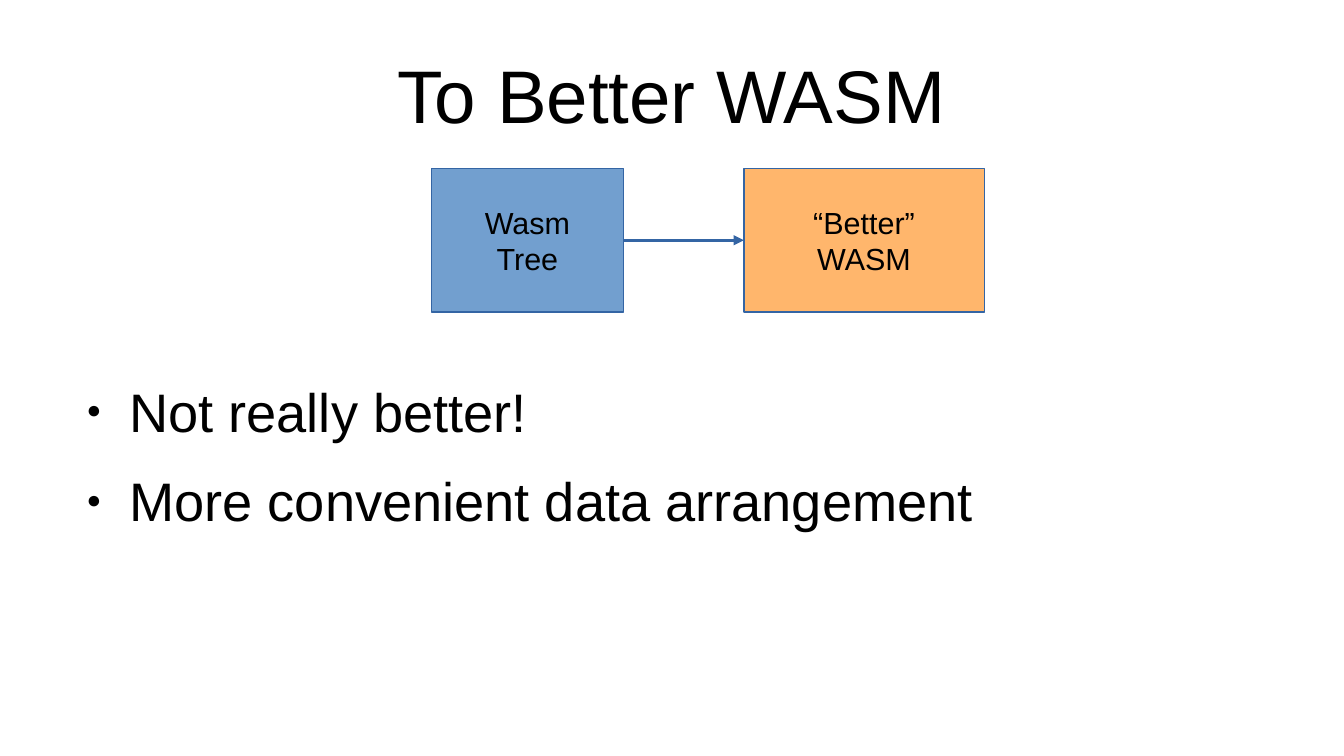
import pptx
import pptx.util
import pptx.dml.color
import pptx.enum.dml
import pptx.enum.shapes
import pptx.enum.text
import pptx.oxml.ns
from lxml import etree

PX = 9144
FONT = "Arial"
BLACK = pptx.dml.color.RGBColor(0x00, 0x00, 0x00)
BLUE = pptx.dml.color.RGBColor(0x72, 0x9F, 0xCF)
ORANGE = pptx.dml.color.RGBColor(0xFF, 0xB6, 0x6C)
OUTLINE = pptx.dml.color.RGBColor(0x34, 0x65, 0xA4)
CENTER = pptx.enum.text.PP_ALIGN.CENTER
MIDDLE = pptx.enum.text.MSO_ANCHOR.MIDDLE


def emu(box):
    return [length * PX for length in box]


def add_xml(parent, tag, **attributes):
    return etree.SubElement(parent, pptx.oxml.ns.qn(tag), attributes)


def add_run(paragraph, text, size):
    run = paragraph.add_run()
    run.text = text
    run.font.size = pptx.util.Pt(size)
    run.font.name = FONT
    run.font.color.rgb = BLACK


def add_text_frame(slide, box):
    frame = slide.shapes.add_textbox(*emu(box)).text_frame
    frame.word_wrap = True
    frame.margin_left = frame.margin_top = 0
    frame.margin_right = frame.margin_bottom = 0
    return frame


def add_title(slide, box, text):
    frame = add_text_frame(slide, box)
    frame.vertical_anchor = MIDDLE
    paragraph = frame.paragraphs[0]
    paragraph.alignment = CENTER
    add_run(paragraph, text, 44)


def add_bullets(slide, box, items):
    frame = add_text_frame(slide, box)
    for index, item in enumerate(items):
        paragraph = frame.add_paragraph() if index else frame.paragraphs[0]
        paragraph.space_before = pptx.util.Pt(14.2)
        properties = paragraph._p.get_or_add_pPr()
        properties.set("marL", str(47 * PX))
        properties.set("indent", str(-35 * PX))
        color = add_xml(properties, "a:buClr")
        add_xml(color, "a:srgbClr", val=str(BLACK))
        add_xml(properties, "a:buSzPct", val="45000")
        add_xml(properties, "a:buFont", typeface=FONT)
        add_xml(properties, "a:buChar", char="●")
        add_run(paragraph, item, 32)


def add_stage(slide, box, fill, lines):
    shape = slide.shapes.add_shape(
        pptx.enum.shapes.MSO_SHAPE.RECTANGLE, *emu(box))
    shape.shadow.inherit = False
    shape.fill.solid()
    shape.fill.fore_color.rgb = fill
    shape.line.color.rgb = OUTLINE
    shape.line.width = 0
    frame = shape.text_frame
    frame.word_wrap = False
    frame.vertical_anchor = MIDDLE
    paragraph = frame.paragraphs[0]
    paragraph.alignment = CENTER
    for index, line in enumerate(lines):
        if index:
            paragraph.add_line_break()
        add_run(paragraph, line, 18)
    return shape


def add_arrow(slide, source, target):
    connector = slide.shapes.add_connector(
        pptx.enum.shapes.MSO_CONNECTOR.ELBOW, 0, 0, 0, 0)
    connector.begin_connect(source, 3)
    connector.end_connect(target, 1)
    connector.line.color.rgb = OUTLINE
    connector.line.width = 0
    add_xml(connector.line._get_or_add_ln(), "a:tailEnd", type="triangle")
    add_xml(connector._element.spPr, "a:effectLst")


def add_flow(slide, box):
    left, top, width, height = box
    source_width, target_width = 157, 197
    source = add_stage(slide, (left, top, source_width, height),
                       BLUE, ["Wasm", "Tree"])
    target = add_stage(
        slide, (left + width - target_width, top, target_width, height),
        ORANGE, ["“Better”", "WASM"])
    add_arrow(slide, source, target)


def main():
    presentation = pptx.Presentation()
    presentation.slide_width, presentation.slide_height = emu((1102, 620))
    slide = presentation.slides.add_slide(presentation.slide_layouts[6])
    add_title(slide, (55, 25, 992, 104), "To Better WASM")
    add_bullets(slide, (59, 310, 992, 222),
                ["Not really better!", "More convenient data arrangement"])
    add_flow(slide, (354, 138, 453, 118))
    presentation.save("out.pptx")


if __name__ == "__main__":
    main()
